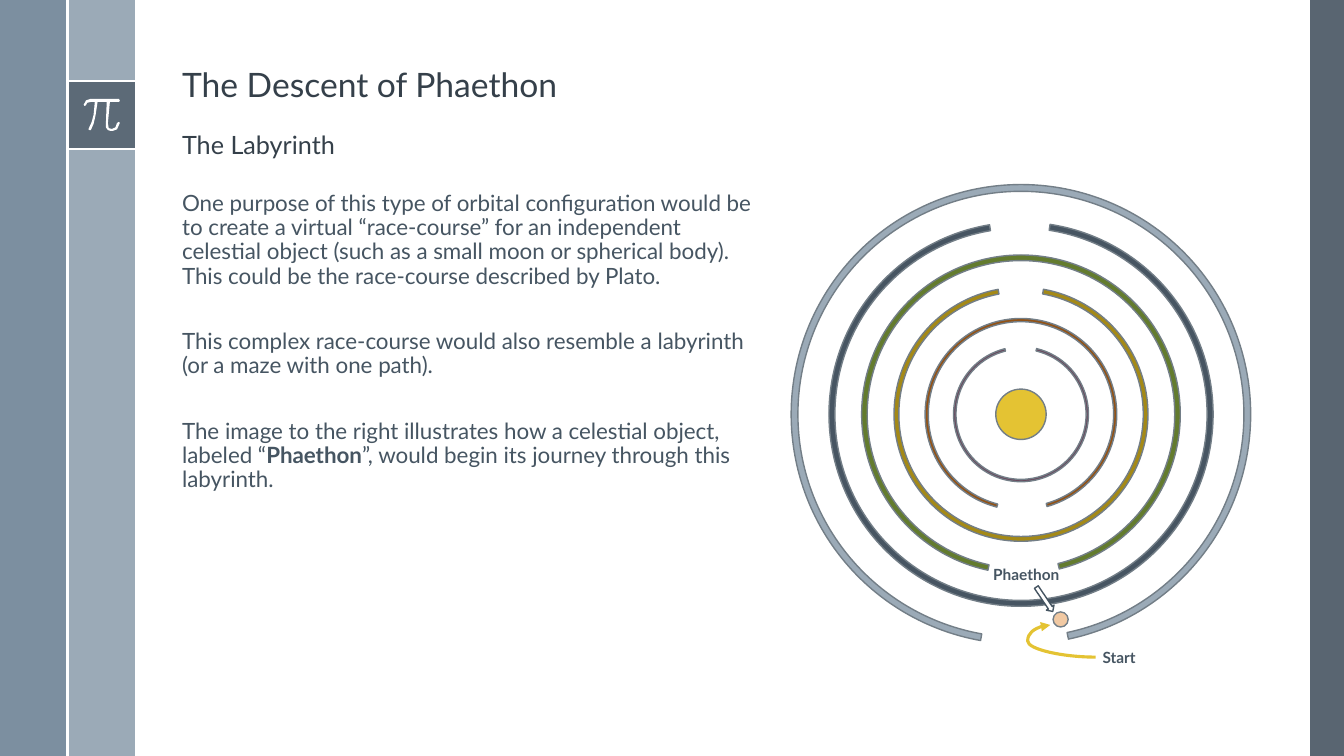
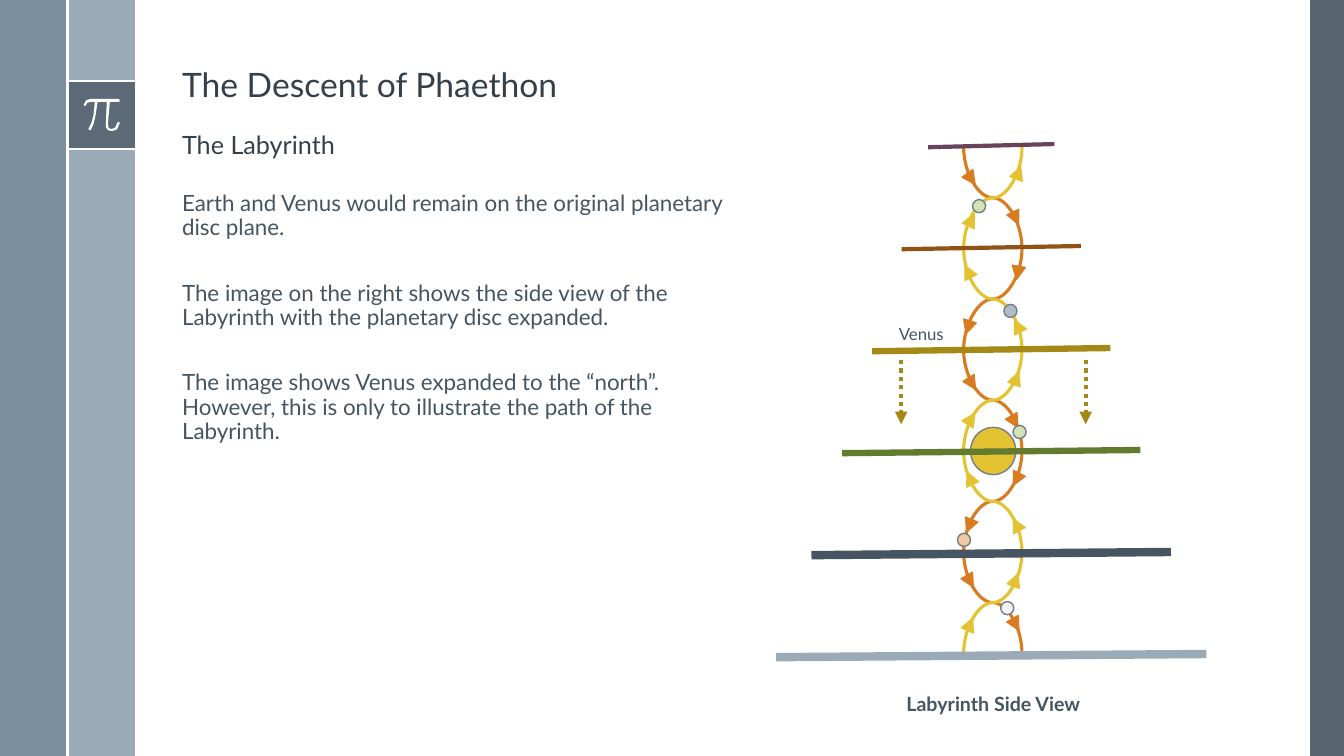
from lxml.etree import SubElement
from pptx import Presentation
from pptx.dml.color import RGBColor
from pptx.enum.dml import MSO_LINE
from pptx.enum.shapes import MSO_CONNECTOR, MSO_SHAPE
from pptx.enum.text import MSO_ANCHOR, PP_ALIGN
from pptx.oxml.ns import qn
from pptx.util import Cm, Pt

RECTANGLE, OVAL = MSO_SHAPE.RECTANGLE, MSO_SHAPE.OVAL
BLOCK_ARC, DOWN_ARROW = MSO_SHAPE.BLOCK_ARC, MSO_SHAPE.DOWN_ARROW
TRIANGLE = MSO_SHAPE.ISOSCELES_TRIANGLE
STRAIGHT, CURVE = MSO_CONNECTOR.STRAIGHT, MSO_CONNECTOR.CURVE
TOP, BOTTOM = MSO_ANCHOR.TOP, MSO_ANCHOR.BOTTOM
LEFT, CENTER = PP_ALIGN.LEFT, PP_ALIGN.CENTER
DOTTED = MSO_LINE.ROUND_DOT

WHITE = RGBColor(0xFF, 0xFF, 0xFF)
HEADING = RGBColor(0x35, 0x40, 0x4A)
TEXT = RGBColor(0x46, 0x55, 0x62)
SLATE = RGBColor(0x47, 0x55, 0x62)
STEEL = RGBColor(0x6A, 0x80, 0x93)
MIST = RGBColor(0x9B, 0xAA, 0xB7)
OUTLINE = RGBColor(0x73, 0x7E, 0x87)
GREEN = RGBColor(0x63, 0x7B, 0x2E)
OLIVE = RGBColor(0xA4, 0x89, 0x16)
BROWN = RGBColor(0x91, 0x52, 0x16)
PLUM = RGBColor(0x67, 0x44, 0x59)
YELLOW = RGBColor(0xE4, 0xC3, 0x33)
ORANGE = RGBColor(0xD9, 0x7B, 0x20)
PEACH = RGBColor(0xF1, 0xC9, 0xA3)
PALE_BLUE = RGBColor(0xAF, 0xBB, 0xC6)
PALE_GREEN = RGBColor(0xD4, 0xE3, 0xB4)
PALE_GREY = RGBColor(0xF2, 0xF2, 0xF2)

FONT = "Lato"
WIDTH, HEIGHT = 33.87, 19.05
STRIP = 1.7
BADGE_TOP = 2.05
TEXT_LEFT = 4.34

# Hundredths of a centimetre
PI_OUTLINE = [
    (300, 249), (229, 249), (217, 253), (211, 264), (213, 267), (216, 266),
    (220, 259), (229, 257), (239, 257), (236, 289), (231, 308), (224, 323),
    (223, 326), (226, 328), (229, 328), (236, 312), (241, 290), (246, 257),
    (269, 257), (267, 310), (267, 321), (272, 328), (279, 330), (284, 330),
    (295, 326), (302, 310), (300, 307), (295, 310), (291, 321), (282, 325),
    (274, 323), (272, 310), (277, 257), (300, 257), (302, 254),
]

# Outermost first: colour, diameter, thickness, arc start and end in degrees
RINGS = [
    (MIST, 11.58, 0.17, 190.12, 168.06),
    (SLATE, 9.68, 0.15, 188.7, 170.56),
    (GREEN, 8.03, 0.14, 191.97, 166.08),
    (OLIVE, 6.4, 0.12, 190.18, 169.6),
    (BROWN, 4.83, 0.08, 194.54, 164.16),
    (PLUM, 3.4, 0.06, 193.35, 166.18),
]
RING_X, RING_Y = 25.73, 10.44

# Top first: colour, half width, line points
PLATES = [
    (PLUM, 1.59, 3), (BROWN, 2.26, 3), (OLIVE, 3, 4.5),
    (GREEN, 3.76, 4.5), (SLATE, 4.53, 6), (MIST, 5.42, 6),
]
PLATE_X, PLATE_TOP, PLATE_STEP, PLATE_RISE = 24.98, 3.71, 2.57, 0.08
PATH_X, PATH_WIDTH, PATH_STEP, BENDS = 25.02, 1.47, 2.55, 5
MARKER = 0.33

# Left, top, rotation
DOWN_MARKERS = [
    (24.31, 4.34, 144.8), (25.43, 5.33, 154.5), (25.48, 6.71, 190.1),
    (24.23, 8.08, 197.1), (24.33, 9.5, 148.1), (25.4, 10.46, 150.3),
    (25.45, 11.91, 206.9), (24.26, 13.08, 202.2), (24.28, 14.48, 150.2),
    (25.43, 15.57, 150.5),
]
UP_MARKERS = [
    (24.28, 15.57, 23.7), (25.43, 14.45, 20.8), (25.45, 13.06, 331.9),
    (24.28, 11.89, 335.8), (24.31, 10.39, 32.8), (25.45, 9.37, 21.5),
    (25.48, 8.05, 333.6), (24.23, 6.68, 332.9), (24.31, 5.38, 26),
    (25.5, 4.19, 20.5),
]
MOONS = [
    (24.13, 13.44, PEACH), (25.3, 7.67, PALE_BLUE), (24.51, 5.03, PALE_GREEN),
    (25.22, 15.16, PALE_GREY), (25.53, 10.72, PALE_GREEN),
]

LABYRINTH_TEXT = [
    [("One purpose of this type of orbital configuration would be to create a "
      "virtual “race-course” for an independent celestial object (such as a "
      "small moon or spherical body). This could be the race-course described "
      "by Plato.", False)],
    [("This complex race-course would also resemble a labyrinth (or a maze "
      "with one path).", False)],
    [("The image to the right illustrates how a celestial object, labeled “",
      False), ("Phaethon", True),
     ("”, would begin its journey through this labyrinth.", False)],
]
SIDE_VIEW_TEXT = [
    [("Earth and Venus would remain on the original planetary disc plane.",
      False)],
    [("The image on the right shows the side view of the Labyrinth with the "
      "planetary disc expanded.", False)],
    [("The image shows Venus expanded to the “north”. However, this is only "
      "to illustrate the path of the Labyrinth.", False)],
]


def paint(shape, fill, line=None, opacity=100):
    shape.shadow.inherit = False
    shape.fill.solid()
    shape.fill.fore_color.rgb = fill
    if opacity < 100:
        color = shape._element.spPr.find(qn("a:solidFill"))[0]
        SubElement(color, qn("a:alpha"), val=str(opacity * 1000))
    if line is None:
        shape.line.fill.background()
    else:
        shape.line.color.rgb = line
        shape.line.width = Pt(1)


def add_figure(page, kind, left, top, width, height, fill, line=None,
               opacity=100, rotation=0):
    shape = page.shapes.add_shape(kind, Cm(left), Cm(top), Cm(width), Cm(height))
    shape.rotation = rotation
    paint(shape, fill, line, opacity)
    return shape


def add_line(page, start, end, color, points, kind=STRAIGHT, dash=None,
             arrow=False):
    line = page.shapes.add_connector(kind, *map(Cm, start + end))
    line.line.color.rgb = color
    line.line.width = Pt(points)
    if dash is not None:
        line.line.dash_style = dash
    properties = line._element.spPr
    if arrow:
        SubElement(properties.find(qn("a:ln")), qn("a:tailEnd"), type="triangle")
    SubElement(properties, qn("a:effectLst"))
    return line


def add_text(page, left, top, width, height, paragraphs, size, color=TEXT,
             anchor=TOP, align=LEFT, spacing=1.0, gap=0):
    """Each paragraph is a list of (text, bold) spans."""
    box = page.shapes.add_textbox(Cm(left), Cm(top), Cm(width), Cm(height))
    frame = box.text_frame
    frame.word_wrap = True
    frame.vertical_anchor = anchor
    for index, spans in enumerate(paragraphs):
        para = frame.add_paragraph() if index else frame.paragraphs[0]
        para.alignment = align
        para.line_spacing = spacing
        para.space_after = Pt(gap)
        for text, bold in spans:
            span = para.add_run()
            span.text = text
            span.font.name = FONT
            span.font.size = Pt(size)
            span.font.bold = bold
            span.font.color.rgb = color


def add_label(page, left, top, width, height, text, size, bold=True):
    add_text(page, left, top, width, height, [[(text, bold)]], size, align=CENTER)


def add_bands(page):
    add_figure(page, RECTANGLE, 33.02, 0, WIDTH - 33.02, HEIGHT, SLATE, opacity=90)
    add_figure(page, RECTANGLE, STRIP, 0, STRIP, HEIGHT, MIST)
    add_figure(page, RECTANGLE, 0, 0, STRIP, HEIGHT, STEEL, opacity=88)
    add_figure(page, RECTANGLE, STRIP, BADGE_TOP, STRIP, STRIP, SLATE, opacity=75)
    for y in (BADGE_TOP, BADGE_TOP + STRIP):
        add_line(page, (STRIP, y), (2 * STRIP, y), WHITE, 1.5)
    builder = page.shapes.build_freeform(*PI_OUTLINE[0], scale=Cm(0.01))
    builder.add_line_segments(PI_OUTLINE[1:], close=True)
    paint(builder.convert_to_shape(), WHITE)
    add_line(page, (STRIP, 0), (STRIP, HEIGHT), WHITE, 1.5)


def add_page(deck, body):
    page = deck.slides.add_slide(deck.slide_layouts[6])
    add_bands(page)
    for top, height, text, size in ((1.65, 1.12, "The Descent of Phaethon", 24),
                                    (2.74, 1.42, "The Labyrinth", 18)):
        add_text(page, TEXT_LEFT, top, 27.18, height, [[(text, False)]], size,
                 HEADING, BOTTOM, spacing=0.9, gap=6)
    add_text(page, TEXT_LEFT, 4.72, 14.88, 13.69, body, 16, spacing=0.9, gap=29.5)
    return page


def add_rings(page):
    for index, (color, size, thickness, start, end) in enumerate(RINGS):
        ring = add_figure(page, BLOCK_ARC, RING_X - size / 2, RING_Y - size / 2,
                          size, size, color, OUTLINE,
                          rotation=90 if index % 2 else 270)
        # Angles are stored in 60000ths of a degree, adjustments in 100000ths
        ring.adjustments[0] = start * 0.6
        ring.adjustments[1] = end * 0.6
        ring.adjustments[2] = thickness / size
    sun = 1.27
    add_figure(page, OVAL, RING_X - sun / 2, RING_Y - sun / 2, sun, sun,
               YELLOW, OUTLINE)


def add_start(page):
    add_figure(page, OVAL, 26.54, 15.42, 0.38, 0.38, PEACH, OUTLINE)
    curve = add_line(page, (27.61, 16.56), (26.47, 15.75), YELLOW, 2.25, CURVE,
                     arrow=True)
    guides = curve._element.spPr.find(qn("a:prstGeom")).find(qn("a:avLst"))
    SubElement(guides, qn("a:gd"), name="adj1", fmla="val 150000")
    add_label(page, 27.33, 16.2, 1.75, 0.74, "Start", 11)
    add_label(page, 24.71, 14.12, 2.31, 0.74, "Phaethon", 11)
    add_figure(page, DOWN_ARROW, 26.21, 14.73, 0.23, 0.74, WHITE, TEXT,
               rotation=326)


def add_bend(page, index, from_left, color):
    """Draw an S-curve that leaves and arrives vertically."""
    middle = PLATE_TOP + (index + 0.5) * PATH_STEP
    near, far = PATH_X - PATH_STEP / 2, PATH_X + PATH_STEP / 2
    if from_left:
        near, far = far, near
    bend = add_line(page, (near, middle - PATH_WIDTH / 2),
                    (far, middle + PATH_WIDTH / 2), color, 2.25, CURVE)
    turn = 270 if from_left else 90
    bend._element.spPr.find(qn("a:xfrm")).set("rot", str(turn * 60000))


def add_path(page, color, starts_left, markers):
    for index in reversed(range(BENDS)):
        add_bend(page, index, starts_left == (index % 2 == 0), color)
    for left, top, rotation in markers:
        add_figure(page, TRIANGLE, left, top, MARKER, MARKER, color, color,
                   rotation=rotation)


def add_side_view(page):
    add_figure(page, OVAL, 24.46, 10.77, 1.14, 1.19, YELLOW, OUTLINE)
    add_path(page, ORANGE, True, DOWN_MARKERS)
    add_path(page, YELLOW, False, UP_MARKERS)
    for index, (color, half, points) in enumerate(PLATES):
        y = PLATE_TOP + index * PLATE_STEP
        add_line(page, (PLATE_X - half, y), (PLATE_X + half, y - PLATE_RISE),
                 color, points)
    for left, top, color in MOONS:
        add_figure(page, OVAL, left, top, MARKER, MARKER, color, OUTLINE)
    add_label(page, 21.49, 17.32, 7.09, 0.86, "Labyrinth Side View", 14)
    add_label(page, 22, 8.03, 2.44, 0.76, "Venus", 12, bold=False)
    for x in (22.71, 27.36):
        add_line(page, (x, 9.07), (x, 10.69), OLIVE, 3, dash=DOTTED, arrow=True)


def main():
    deck = Presentation()
    deck.slide_width, deck.slide_height = Cm(WIDTH), Cm(HEIGHT)
    page = add_page(deck, LABYRINTH_TEXT)
    add_rings(page)
    add_start(page)
    add_side_view(add_page(deck, SIDE_VIEW_TEXT))
    deck.save("out.pptx")


if __name__ == "__main__":
    main()
